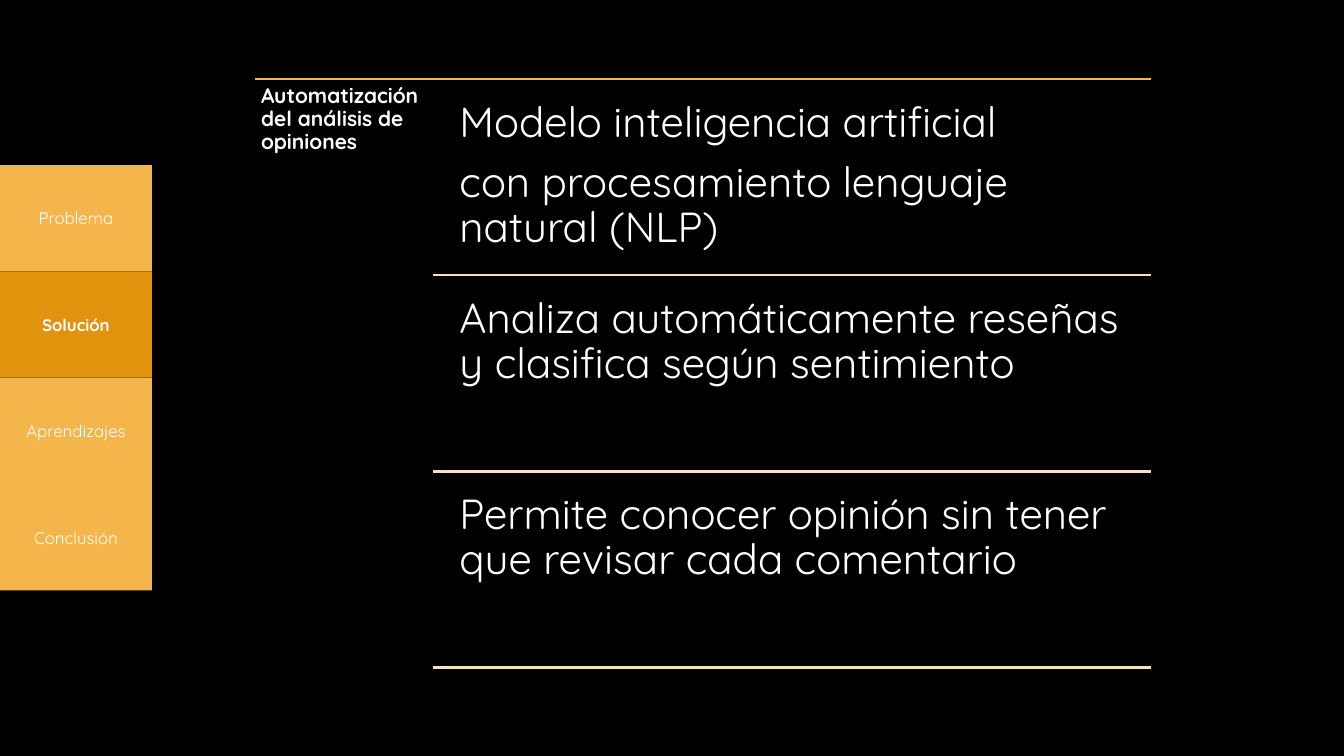
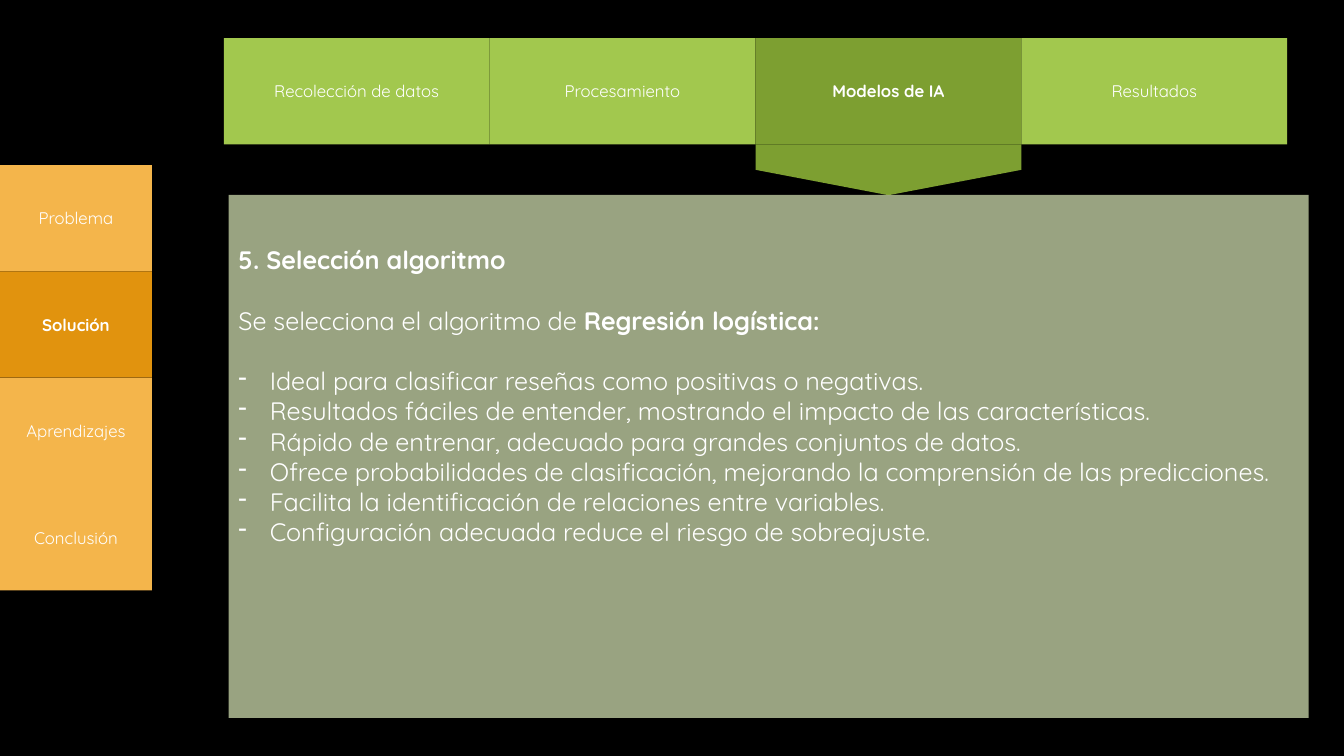
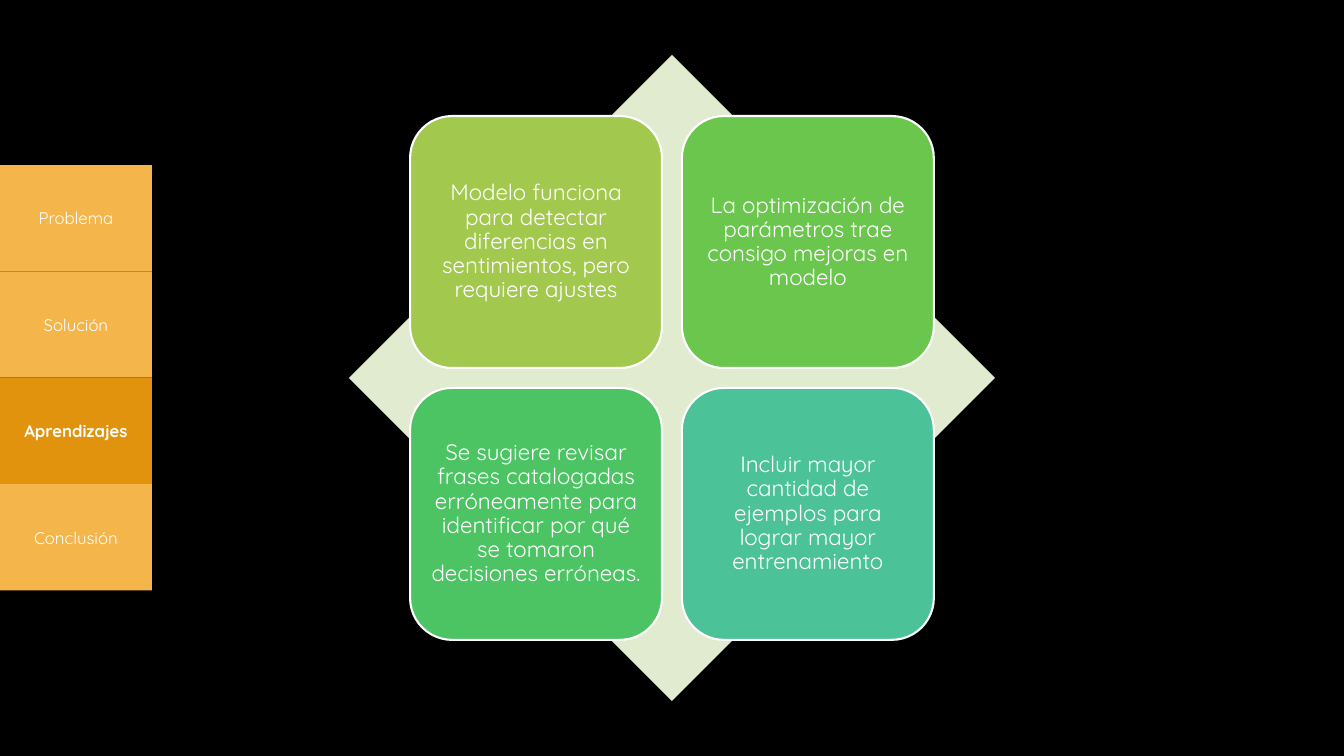
"""Build three slides on automated sentiment analysis of reviews."""
from lxml.etree import SubElement
from pptx import Presentation
from pptx.dml.color import RGBColor
from pptx.enum.shapes import MSO_CONNECTOR, MSO_SHAPE
from pptx.enum.text import MSO_ANCHOR, PP_ALIGN
from pptx.oxml.ns import qn
from pptx.util import Cm, Pt

FONT = "Quicksand"
WIDTH, HEIGHT = 33.87, 19.05
COLORS = {
    "background": "000000",
    "white": "FFFFFF",
    "orange": "F4B54B",
    "orange_active": "E1930E",
    "cream": "FADEC1",
    "green": "A2C84E",
    "green_active": "7D9F31",
    "panel": "DAE9B8",
    "diamond": "E0EBD0",
    "leaf": "6AC64D",
    "emerald": "4CC464",
    "teal": "4BC298",
}
SECTIONS = ["Problema", "Solución", "Aprendizajes", "Conclusión"]
STEPS = ["Recolección de datos", "Procesamiento", "Modelos de IA", "Resultados"]
TAB_W, TAB_H, TABS_TOP = 3.83, 2.68, 4.16
STEP_W, STEPS_LEFT, STEPS_TOP = 6.7, 5.64, 0.96


def rgb(name):
    return RGBColor.from_string(COLORS[name])


def format_runs(p, size, bold=False):
    for r in p.runs:
        r.font.name = FONT
        r.font.size = Pt(size)
        r.font.bold = bold
        r.font.color.rgb = rgb("white")


def set_frame(tf, inset, anchor):
    tf.word_wrap = True
    tf.vertical_anchor = anchor
    tf.margin_left = tf.margin_right = Cm(inset)
    tf.margin_top = tf.margin_bottom = Cm(inset)


def add_box(s, kind, left, top, width, height, color, outline=None):
    sp = s.shapes.add_shape(kind, Cm(left), Cm(top), Cm(width), Cm(height))
    sp.shadow.inherit = False
    sp.fill.solid()
    sp.fill.fore_color.rgb = rgb(color)
    if outline:
        sp.line.color.rgb = rgb(outline)
        sp.line.width = Pt(1.5)
    else:
        sp.line.fill.background()
    return sp


def add_rule(s, left, right, y, color):
    line = s.shapes.add_connector(MSO_CONNECTOR.STRAIGHT, Cm(left), Cm(y), Cm(right), Cm(y))
    line.line.color.rgb = rgb(color)
    line.line.width = Pt(1.5)
    SubElement(line._element.spPr, qn("a:effectLst"))


def add_text(s, left, top, width, height, text, size, inset, bold=False):
    sp = s.shapes.add_textbox(Cm(left), Cm(top), Cm(width), Cm(height))
    tf = sp.text_frame
    set_frame(tf, inset, MSO_ANCHOR.TOP)
    tf.text = text
    for p in tf.paragraphs:
        p.line_spacing = 0.9
        p.space_after = Pt(size * 0.35)
        format_runs(p, size, bold)


def add_tab(s, left, top, width, label, color, active):
    sp = add_box(s, MSO_SHAPE.RECTANGLE, left, top, width, TAB_H,
                 f"{color}_active" if active else color)
    tf = sp.text_frame
    set_frame(tf, 0.1, MSO_ANCHOR.MIDDLE)
    tf.text = label
    p = tf.paragraphs[0]
    p.alignment = PP_ALIGN.CENTER
    format_runs(p, 12, active)


def add_section_slide(prs, active):
    s = prs.slides.add_slide(prs.slide_layouts[6])
    for i, label in enumerate(SECTIONS):
        add_tab(s, 0, TABS_TOP + i * TAB_H, TAB_W, label, "orange", label == active)
    return s


def add_step_bar(s, active):
    for i, label in enumerate(STEPS):
        add_tab(s, STEPS_LEFT + i * STEP_W, STEPS_TOP, STEP_W, label, "green", label == active)
    length = 1.28
    center_x = STEPS_LEFT + (STEPS.index(active) + 0.5) * STEP_W
    center_y = STEPS_TOP + TAB_H + length / 2
    pointer = add_box(s, MSO_SHAPE.PENTAGON, center_x - length / 2, center_y - STEP_W / 2,
                      length, STEP_W, "green_active")
    pointer.rotation = 90


def add_panel(s):
    sp = add_box(s, MSO_SHAPE.RECTANGLE, 5.76, 4.91, 27.22, 13.18, "panel")
    color = sp._element.spPr.find(qn("a:solidFill"))[0]
    SubElement(color, qn("a:alpha"), val="70000")
    tf = sp.text_frame
    set_frame(tf, 0.25, MSO_ANCHOR.TOP)
    tf.margin_top = Cm(1.25)
    return tf


def add_line(tf, text, bold=False, gap=0, bullet=False):
    p = tf.add_paragraph() if tf.text else tf.paragraphs[0]
    p.text = text
    p.alignment = PP_ALIGN.JUSTIFY
    if bullet:
        pPr = p._p.get_or_add_pPr()
        pPr.set("marL", str(Cm(0.79)))
        pPr.set("indent", str(-Cm(0.79)))
        SubElement(pPr, qn("a:buChar"), char="-")
    if gap:
        p.space_before = Pt(gap)
    format_runs(p, 18, bold)
    return p


def add_card(s, left, top, side, text, color):
    sp = add_box(s, MSO_SHAPE.ROUNDED_RECTANGLE, left, top, side, side, color, "white")
    tf = sp.text_frame
    set_frame(tf, 0.18, MSO_ANCHOR.MIDDLE)
    tf.text = text
    p = tf.paragraphs[0]
    p.alignment = PP_ALIGN.CENTER
    p.line_spacing = 0.9
    format_runs(p, 16)


def build_solution(prs):
    s = add_section_slide(prs, "Solución")
    top, right, pitch = 2, 29.01, 4.94
    add_rule(s, 6.42, right, top, "orange")
    add_text(s, 6.42, top, 4.53, 15.06, "Automatización del análisis de opiniones", 15, 0.16, True)
    points = [
        "Modelo inteligencia artificial\ncon procesamiento lenguaje natural (NLP)",
        "Analiza automáticamente reseñas y clasifica según sentimiento",
        "Permite conocer opinión sin tener que revisar cada comentario",
    ]
    for i, text in enumerate(points):
        y = top + i * pitch
        add_text(s, 11.28, y + 0.24, 17.73, 4.7, text, 30, 0.3)
        add_rule(s, 10.92, right, y + pitch, "cream")


def build_models(prs):
    s = add_section_slide(prs, "Solución")
    add_step_bar(s, "Modelos de IA")
    tf = add_panel(s)
    gap = 21.6
    add_line(tf, "5. Selección algoritmo", bold=True)
    p = add_line(tf, "Se selecciona el algoritmo de ", gap=gap)
    p.add_run().text = "Regresión logística:"
    format_runs(p, 18)
    p.runs[-1].font.bold = True
    reasons = [
        "Ideal para clasificar reseñas como positivas o negativas.",
        "Resultados fáciles de entender, mostrando el impacto de las características.",
        "Rápido de entrenar, adecuado para grandes conjuntos de datos.",
        "Ofrece probabilidades de clasificación, mejorando la comprensión de las predicciones.",
        "Facilita la identificación de relaciones entre variables.",
        "Configuración adecuada reduce el riesgo de sobreajuste.",
    ]
    for i, text in enumerate(reasons):
        add_line(tf, text, gap=0 if i else gap, bullet=True)


def build_lessons(prs):
    s = add_section_slide(prs, "Aprendizajes")
    diamond, side, gap = 16.28, 6.35, 0.5
    add_box(s, MSO_SHAPE.DIAMOND, (WIDTH - diamond) / 2, (HEIGHT - diamond) / 2,
            diamond, diamond, "diamond")
    cards = [
        ("Modelo funciona para detectar diferencias en sentimientos, pero requiere ajustes",
         "green"),
        ("La optimización de parámetros trae consigo mejoras en modelo", "leaf"),
        ("Se sugiere revisar frases catalogadas erróneamente para identificar "
         "por qué se tomaron decisiones erróneas.", "emerald"),
        ("Incluir mayor cantidad de ejemplos para lograr mayor entrenamiento", "teal"),
    ]
    left = (WIDTH - gap) / 2 - side
    top = (HEIGHT - gap) / 2 - side
    for i, (text, color) in enumerate(cards):
        row, col = divmod(i, 2)
        add_card(s, left + col * (side + gap), top + row * (side + gap), side, text, color)


def main():
    prs = Presentation()
    prs.slide_width, prs.slide_height = Cm(WIDTH), Cm(HEIGHT)
    fill = prs.slide_master.background.fill
    fill.solid()
    fill.fore_color.rgb = rgb("background")
    build_solution(prs)
    build_models(prs)
    build_lessons(prs)
    prs.save("out.pptx")


if __name__ == "__main__":
    main()
